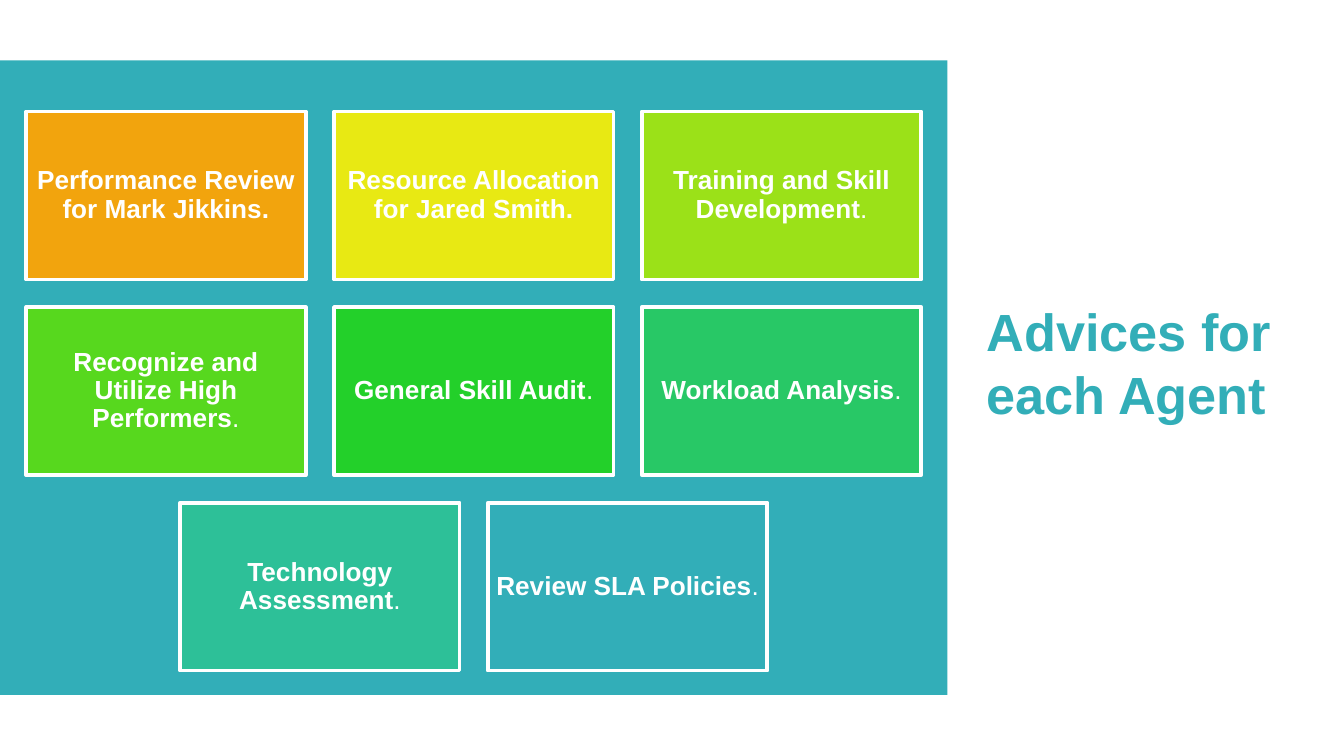
import pptx
import pptx.util
import pptx.dml.color
import pptx.enum.shapes
import pptx.enum.text

Inches, Pt = pptx.util.Inches, pptx.util.Pt
PP_ALIGN = pptx.enum.text.PP_ALIGN
MSO_ANCHOR = pptx.enum.text.MSO_ANCHOR

COLORS = {"teal": "32AEB8", "white": "FFFFFF"}
FONT = "Arial"
TITLE = "Advices for each Agent"

# Rows of cards: bold text, regular ending, fill
ROWS = [
    [("Performance Review for Mark Jikkins.", "", "F2A40D"),
     ("Resource Allocation for Jared Smith.", "", "E8E913"),
     ("Training and Skill Development", ".", "9BE118")],
    [("Recognize and Utilize High Performers", ".", "57D81E"),
     ("General Skill Audit", ".", "23D02A"),
     ("Workload Analysis", ".", "28C866")],
    [("Technology Assessment", ".", "2DC098"),
     ("Review SLA Policies", ".", COLORS["teal"])],
]

PANEL_TOP, PANEL_W, PANEL_H = 0.45, 7.05, 4.72
CARD_W, CARD_H, GAP = 2.08, 1.25, 0.21
FIRST_ROW_TOP, LAST_ROW_TOP = 0.83, 3.74


def rgb(value):
    return pptx.dml.color.RGBColor.from_string(value)


def set_font(font, size, color):
    font.name = FONT
    font.size = Pt(size)
    font.color.rgb = rgb(color)


def add_rect(slide, x, y, w, h, fill):
    sp = slide.shapes.add_shape(
        pptx.enum.shapes.MSO_SHAPE.RECTANGLE,
        Inches(x), Inches(y), Inches(w), Inches(h))
    sp.shadow.inherit = False
    sp.fill.solid()
    sp.fill.fore_color.rgb = rgb(fill)
    sp.line.fill.background()
    return sp


def add_card(slide, x, y, text, ending, fill):
    sp = add_rect(slide, x, y, CARD_W, CARD_H, fill)
    sp.line.color.rgb = rgb(COLORS["white"])
    sp.line.width = Pt(2)
    tf = sp.text_frame
    tf.word_wrap = True
    tf.vertical_anchor = MSO_ANCHOR.MIDDLE
    tf.margin_left = tf.margin_right = Inches(0.06)
    tf.margin_top = tf.margin_bottom = Inches(0.06)
    p = tf.paragraphs[0]
    p.alignment = PP_ALIGN.CENTER
    p.line_spacing = 0.9
    for part, bold in ((text, True), (ending, False)):
        if part:
            r = p.add_run()
            r.text = part
            set_font(r.font, 14, COLORS["white"])
            r.font.bold = bold


def add_title(slide):
    title = slide.shapes.title
    title.left, title.top = Inches(7.24), Inches(2.18)
    title.width, title.height = Inches(2.76), Inches(1.68)
    tf = title.text_frame
    tf.text = TITLE
    tf.word_wrap = True
    tf.auto_size = pptx.enum.text.MSO_AUTO_SIZE.NONE
    tf.vertical_anchor = MSO_ANCHOR.TOP
    p = tf.paragraphs[0]
    p.alignment = PP_ALIGN.LEFT
    p.space_before = Pt(5.6)
    set_font(p.font, 28, COLORS["teal"])
    p.font.bold = True


def main():
    prs = pptx.Presentation()
    prs.slide_width = Inches(10)
    prs.slide_height = prs.slide_width * 9 // 16
    s = prs.slides.add_slide(prs.slide_layouts[5])
    add_rect(s, 0, PANEL_TOP, PANEL_W, PANEL_H, COLORS["teal"])
    row_step = (LAST_ROW_TOP - FIRST_ROW_TOP) / (len(ROWS) - 1)
    for i, row in enumerate(ROWS):
        row_w = len(row) * (CARD_W + GAP) - GAP
        left = (PANEL_W - row_w) / 2
        for j, card in enumerate(row):
            add_card(s, left + j * (CARD_W + GAP),
                     FIRST_ROW_TOP + i * row_step, *card)
    add_title(s)
    prs.save("out.pptx")


if __name__ == "__main__":
    main()
